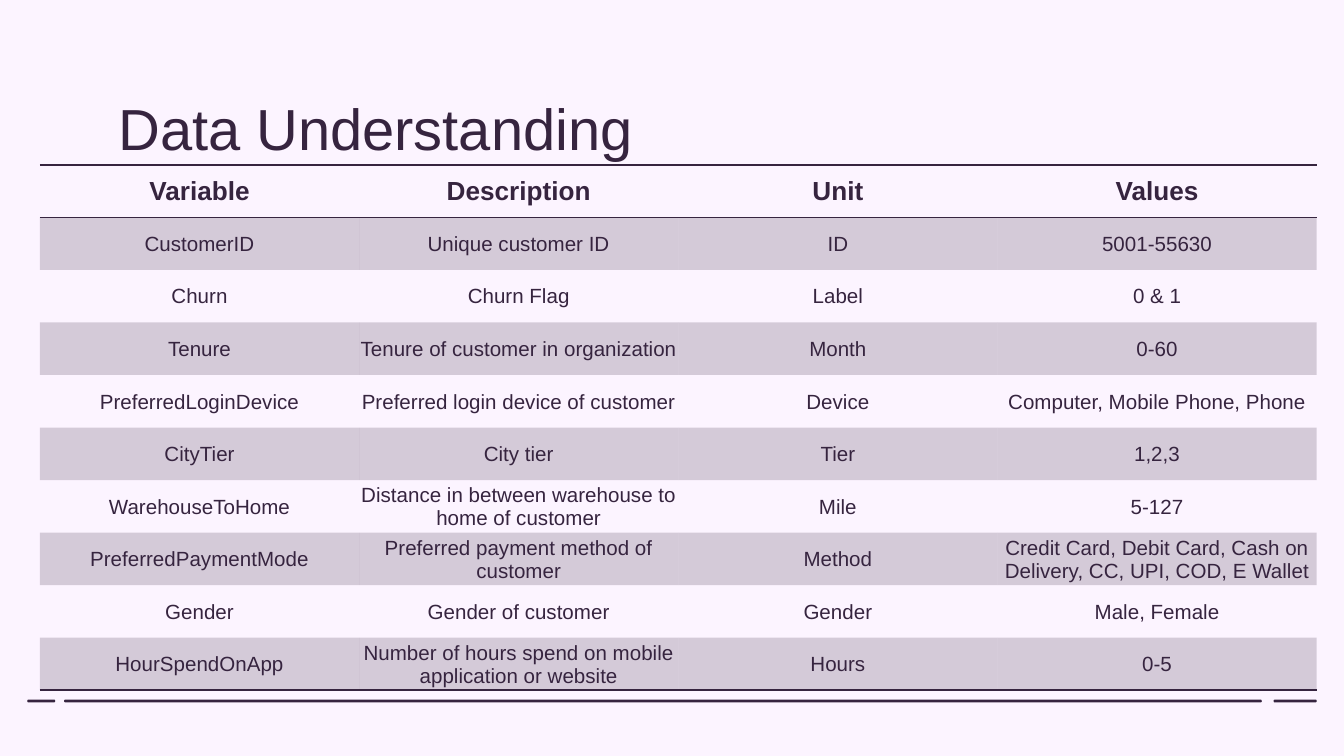
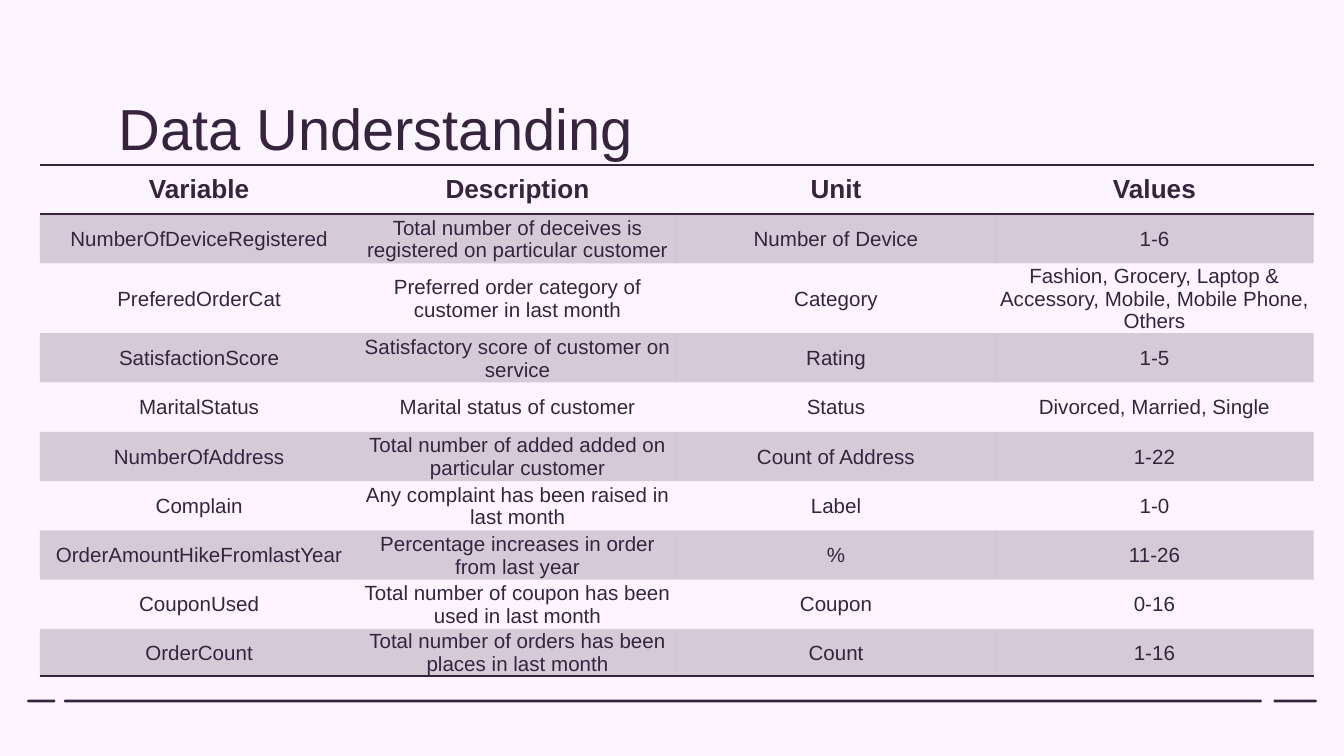
from dataclasses import dataclass
from lxml.etree import SubElement
from pptx import Presentation
from pptx.dml.color import RGBColor
from pptx.enum.shapes import MSO_SHAPE
from pptx.enum.text import MSO_ANCHOR, MSO_AUTO_SIZE, PP_ALIGN
from pptx.oxml.ns import qn
from pptx.slide import Slide
from pptx.table import _Cell
from pptx.text.text import TextFrame
from pptx.util import Pt

COLORS = {"ink": "36243F", "page": "FCF4FF"}
FONT = "Arial"
NO_GRID = "{2D5ABB26-0587-4C30-8999-92F81FD0307C}"
HEADS = ("Variable", "Description", "Unit", "Values")


@dataclass(frozen=True)
class Dash:
    left: float
    width: float


@dataclass(frozen=True)
class Grid:
    col: float
    heights: list[float]
    rows: list[tuple[str, str, str, str]]


DASHES = [Dash(682.7, 22.3), Dash(34.8, 640.8), Dash(15, 14.2)]

GRIDS = [
    Grid(171, [28.15] * 10, [
        ("CustomerID", "Unique customer ID", "ID", "5001-55630"),
        ("Churn", "Churn Flag", "Label", "0 & 1"),
        ("Tenure", "Tenure of customer in organization", "Month", "0-60"),
        ("PreferredLoginDevice", "Preferred login device of customer",
         "Device", "Computer, Mobile Phone, Phone"),
        ("CityTier", "City tier", "Tier", "1,2,3"),
        ("WarehouseToHome",
         "Distance in between warehouse to home of customer",
         "Mile", "5-127"),
        ("PreferredPaymentMode", "Preferred payment method of customer",
         "Method",
         "Credit Card, Debit Card, Cash on Delivery, CC, UPI, COD, E Wallet"),
        ("Gender", "Gender of customer", "Gender", "Male, Female"),
        ("HourSpendOnApp",
         "Number of hours spend on mobile application or website",
         "Hours", "0-5"),
    ]),
    Grid(170.6, [26.4] * 2 + [37.4] + [26.4] * 6 + [25.2], [
        ("NumberOfDeviceRegistered",
         "Total number of deceives is registered on particular customer",
         "Number of Device", "1-6"),
        ("PreferedOrderCat",
         "Preferred order category of customer in last month", "Category",
         "Fashion, Grocery, Laptop & Accessory, Mobile, Mobile Phone, Others"),
        ("SatisfactionScore", "Satisfactory score of customer on service",
         "Rating", "1-5"),
        ("MaritalStatus", "Marital status of customer", "Status",
         "Divorced, Married, Single"),
        ("NumberOfAddress",
         "Total number of added added on particular customer",
         "Count of Address", "1-22"),
        ("Complain", "Any complaint has been raised in last month",
         "Label", "1-0"),
        ("OrderAmountHikeFromlastYear",
         "Percentage increases in order from last year", "%", "11-26"),
        ("CouponUsed", "Total number of coupon has been used in last month",
         "Coupon", "0-16"),
        ("OrderCount", "Total number of orders has been places in last month",
         "Count", "1-16"),
    ]),
]


def color(name: str) -> RGBColor:
    return RGBColor.from_string(COLORS[name])


def write(frame: TextFrame, text: str, size: float, align: PP_ALIGN,
          bold: bool = False) -> None:
    para = frame.paragraphs[0]
    para.alignment = align
    run = para.add_run()
    run.text = text
    run.font.name = FONT
    run.font.size = Pt(size)
    run.font.bold = bold
    run.font.color.rgb = color("ink")


def add_title(slide: Slide, text: str) -> None:
    title = slide.shapes.title
    title.left, title.top = Pt(56.2), Pt(42.5)
    title.width, title.height = Pt(607.6), Pt(44.6)
    frame = title.text_frame
    frame.auto_size = MSO_AUTO_SIZE.NONE
    frame.vertical_anchor = MSO_ANCHOR.TOP
    frame.margin_left = frame.margin_right = Pt(7.2)
    frame.margin_top = frame.margin_bottom = Pt(7.2)
    write(frame, text, 31, PP_ALIGN.LEFT)


def add_dash(slide: Slide, dash: Dash) -> None:
    bar = slide.shapes.add_shape(MSO_SHAPE.ROUNDED_RECTANGLE, Pt(dash.left),
                                 Pt(375.2), Pt(dash.width), Pt(0.7))
    bar.shadow.inherit = False
    bar.fill.solid()
    bar.fill.fore_color.rgb = color("ink")
    bar.line.color.rgb = color("ink")
    bar.line.width = Pt(0.75)


def add_rule(cell: _Cell, side: str) -> None:
    """Draw one cell border; call before the cell is filled."""
    line = SubElement(cell._tc.get_or_add_tcPr(), qn(f"a:{side}"),
                      w=str(Pt(1)))
    fill = SubElement(line, qn("a:solidFill"))
    SubElement(fill, qn("a:srgbClr"), val=COLORS["ink"])


def tint(cell: _Cell) -> None:
    """Fill a cell with ink at 20 % opacity."""
    cell.fill.solid()
    cell.fill.fore_color.rgb = color("ink")
    shade = cell._tc.tcPr.find(f".//{qn('a:solidFill')}[last()]")
    shade = cell._tc.tcPr.findall(qn("a:solidFill"))[-1][0]
    SubElement(shade, qn("a:alpha"), val="20000")


def style_cell(cell: _Cell, text: str, row: int, last: int) -> None:
    head = row == 0
    cell.vertical_anchor = MSO_ANCHOR.MIDDLE
    if not head:
        cell.margin_left = cell.margin_right = cell.margin_top = Pt(0.7)
        cell.margin_bottom = Pt(0)
    write(cell.text_frame, text, 14 if head else 11, PP_ALIGN.CENTER, head)
    if head:
        add_rule(cell, "lnT")
    if row in (0, last):
        add_rule(cell, "lnB")
    if row % 2:
        tint(cell)
    else:
        cell.fill.background()


def add_grid(slide: Slide, grid: Grid) -> None:
    lines = [HEADS, *grid.rows]
    table = slide.shapes.add_table(
        len(lines), len(HEADS), Pt(21.4), Pt(88.3),
        Pt(grid.col * len(HEADS)), Pt(sum(grid.heights))).table
    table.first_row = table.horz_banding = False
    table._tbl.tblPr.find(qn("a:tableStyleId")).text = NO_GRID
    for col in table.columns:
        col.width = Pt(grid.col)
    for row, (line, height) in enumerate(zip(lines, grid.heights)):
        table.rows[row].height = Pt(height)
        for col, text in enumerate(line):
            style_cell(table.cell(row, col), text, row, len(lines) - 1)


def main() -> None:
    deck = Presentation()
    deck.slide_width, deck.slide_height = Pt(720), Pt(405)
    back = deck.slide_master.background.fill
    back.solid()
    back.fore_color.rgb = color("page")
    for grid in GRIDS:
        slide = deck.slides.add_slide(deck.slide_layouts[5])
        for dash in DASHES:
            add_dash(slide, dash)
        add_title(slide, "Data Understanding")
        add_grid(slide, grid)
    deck.save("out.pptx")


if __name__ == "__main__":
    main()
